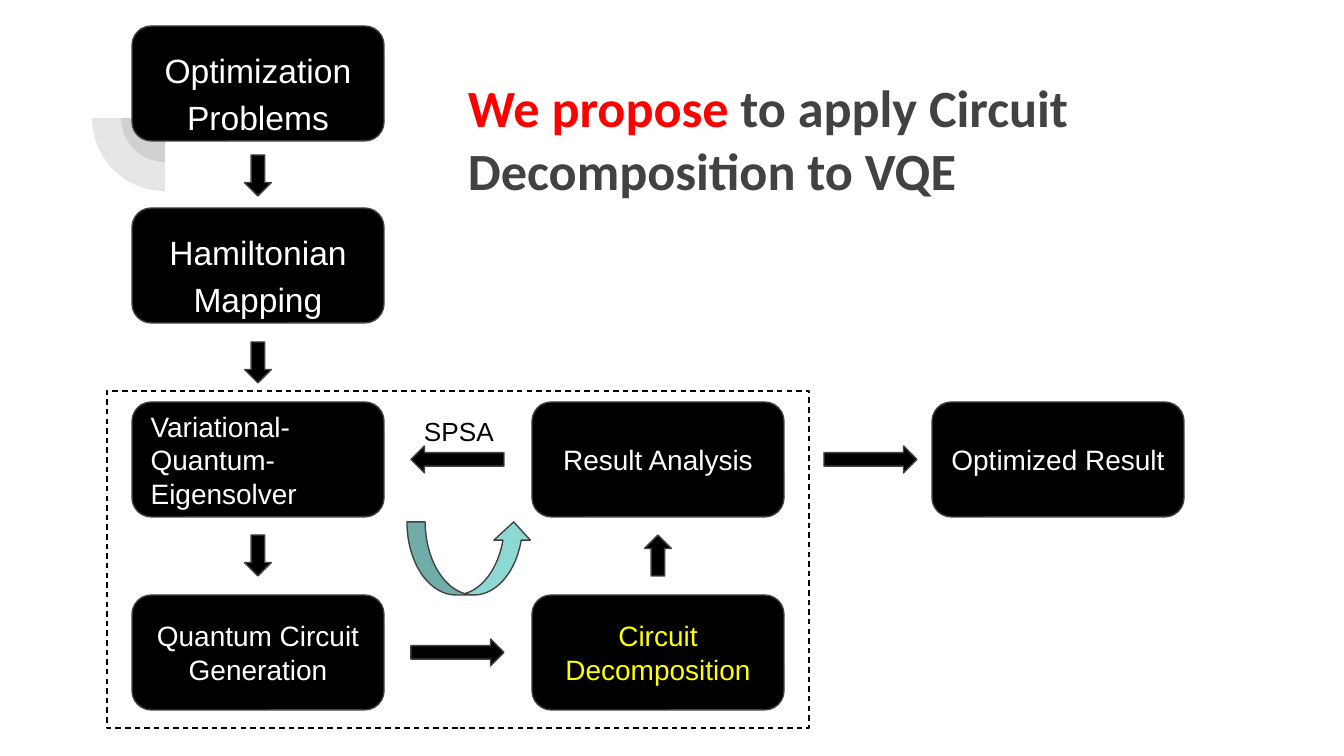
from pptx import Presentation
from pptx.dml.color import RGBColor
from pptx.enum.dml import MSO_LINE
from pptx.enum.shapes import MSO_SHAPE
from pptx.enum.text import MSO_ANCHOR, PP_ALIGN
from pptx.oxml.ns import qn
from pptx.util import Emu, Pt
from lxml import etree

THEME = {
    "black": RGBColor(0, 0, 0),
    "white": RGBColor(255, 255, 255),
    "gray": RGBColor(0x42, 0x42, 0x42),
    "red": RGBColor(255, 0, 0),
    "yellow": RGBColor(255, 255, 0),
    "teal": RGBColor(0x8D, 0xD8, 0xD3),
    "font": "Arial",
    "title_font": "Calibri",
    "title": Pt(28),
    "large": Pt(18),
    "step": Pt(15),
    "label": Pt(14),
    "line": Pt(0.75),
}
INCH_PX = 134.4
INSET = 13


def px(length):
    return Emu(round(length * 914400 / INCH_PX))


def add_shape(kind, left, top, width, height, fill, line=THEME["gray"]):
    shape = page.shapes.add_shape(kind, px(left), px(top), px(width), px(height))
    shape.shadow.inherit = False
    if fill is None:
        shape.fill.background()
    else:
        shape.fill.solid()
        shape.fill.fore_color.rgb = fill
    if line is None:
        shape.line.fill.background()
    else:
        shape.line.color.rgb = line
        shape.line.width = THEME["line"]
    return shape


deck = Presentation()
deck.slide_width, deck.slide_height = px(1344), px(756)
page = deck.slides.add_slide(deck.slide_layouts[6])

# Translucent quarter circles around one centre
for radius in (44, 73):
    quarter = add_shape(MSO_SHAPE.PIE, 165 - radius, 118 - radius,
                        2 * radius, 2 * radius, THEME["gray"], None)
    quarter.rotation = 270
    quarter.adjustments[0] = 108
    quarter.adjustments[1] = 162
    color = quarter.fill._xPr.find(qn("a:solidFill"))[0]
    etree.SubElement(color, qn("a:alpha")).set("val", "13000")

# Dashed frame around the loop
frame = add_shape(MSO_SHAPE.RECTANGLE, 107, 391, 702, 337, None, THEME["black"])
frame.line.dash_style = MSO_LINE.DASH

# Steps: text, column, top, size, colour, alignment
COLUMNS = [132 + 400 * column for column in range(3)]
BOX_WIDTH, BOX_HEIGHT = 252, 115
steps = [
    ("Optimization Problems", 0, 26, "large", "white", PP_ALIGN.CENTER),
    ("Hamiltonian Mapping", 0, 208, "large", "white", PP_ALIGN.CENTER),
    ("Variational-Quantum-Eigensolver", 0, 402, "step", "white", PP_ALIGN.LEFT),
    ("Quantum Circuit Generation", 0, 595, "step", "white", PP_ALIGN.CENTER),
    ("Circuit Decomposition", 1, 595, "step", "yellow", PP_ALIGN.CENTER),
    ("Result Analysis", 1, 402, "step", "white", PP_ALIGN.CENTER),
    ("Optimized Result", 2, 402, "step", "white", PP_ALIGN.CENTER),
]
for text, column, top, size, color, alignment in steps:
    box = add_shape(MSO_SHAPE.ROUNDED_RECTANGLE, COLUMNS[column], top,
                    BOX_WIDTH, BOX_HEIGHT, THEME["black"])
    frame_text = box.text_frame
    frame_text.word_wrap = True
    frame_text.vertical_anchor = MSO_ANCHOR.MIDDLE
    frame_text.margin_left = frame_text.margin_right = px(INSET)
    frame_text.margin_top = frame_text.margin_bottom = px(INSET)
    para = frame_text.paragraphs[0]
    para.text = text
    para.alignment = alignment
    para.font.name = THEME["font"]
    para.font.size = THEME[size]
    para.font.color.rgb = THEME[color]
    if size == "large":
        para.line_spacing = 1.15
        frame_text.margin_top, frame_text.margin_bottom = px(20), px(6)

# Block arrows between the steps
ARROW_WIDTH, SHORT, LONG = 27, 41, 93
for kind, column, top in [
    (MSO_SHAPE.DOWN_ARROW, 0, 155),
    (MSO_SHAPE.DOWN_ARROW, 0, 342),
    (MSO_SHAPE.DOWN_ARROW, 0, 535),
    (MSO_SHAPE.UP_ARROW, 1, 535),
]:
    left = COLUMNS[column] + (BOX_WIDTH - ARROW_WIDTH) / 2
    add_shape(kind, left, top, ARROW_WIDTH, SHORT, THEME["black"])
for kind, left, top in [
    (MSO_SHAPE.LEFT_ARROW, 411, 446),
    (MSO_SHAPE.RIGHT_ARROW, 411, 639),
    (MSO_SHAPE.RIGHT_ARROW, 824, 446),
]:
    add_shape(kind, left, top, LONG, ARROW_WIDTH, THEME["black"])

# Loop arrow
add_shape(MSO_SHAPE.CURVED_UP_ARROW, 407, 522, 125, 73, THEME["teal"])

# Optimizer label and title
texts = [
    ((411, 402, 108, 40), "label", "font", False, [("SPSA", "black")]),
    ((455, 62, 866, 85), "title", "title_font", True,
     [("We propose ", "red"),
      ("to apply Circuit Decomposition to VQE", "gray")]),
]
for place, size, font, bold, spans in texts:
    box = page.shapes.add_textbox(*map(px, place))
    box.text_frame.word_wrap = True
    box.text_frame.margin_left = box.text_frame.margin_right = px(INSET)
    box.text_frame.margin_top = box.text_frame.margin_bottom = px(INSET)
    para = box.text_frame.paragraphs[0]
    para.font.name = THEME[font]
    para.font.size = THEME[size]
    para.font.bold = bold
    for text, color in spans:
        span = para.add_run()
        span.text = text
        span.font.name = THEME[font]
        span.font.size = THEME[size]
        span.font.bold = bold
        span.font.color.rgb = THEME[color]

deck.save("out.pptx")
